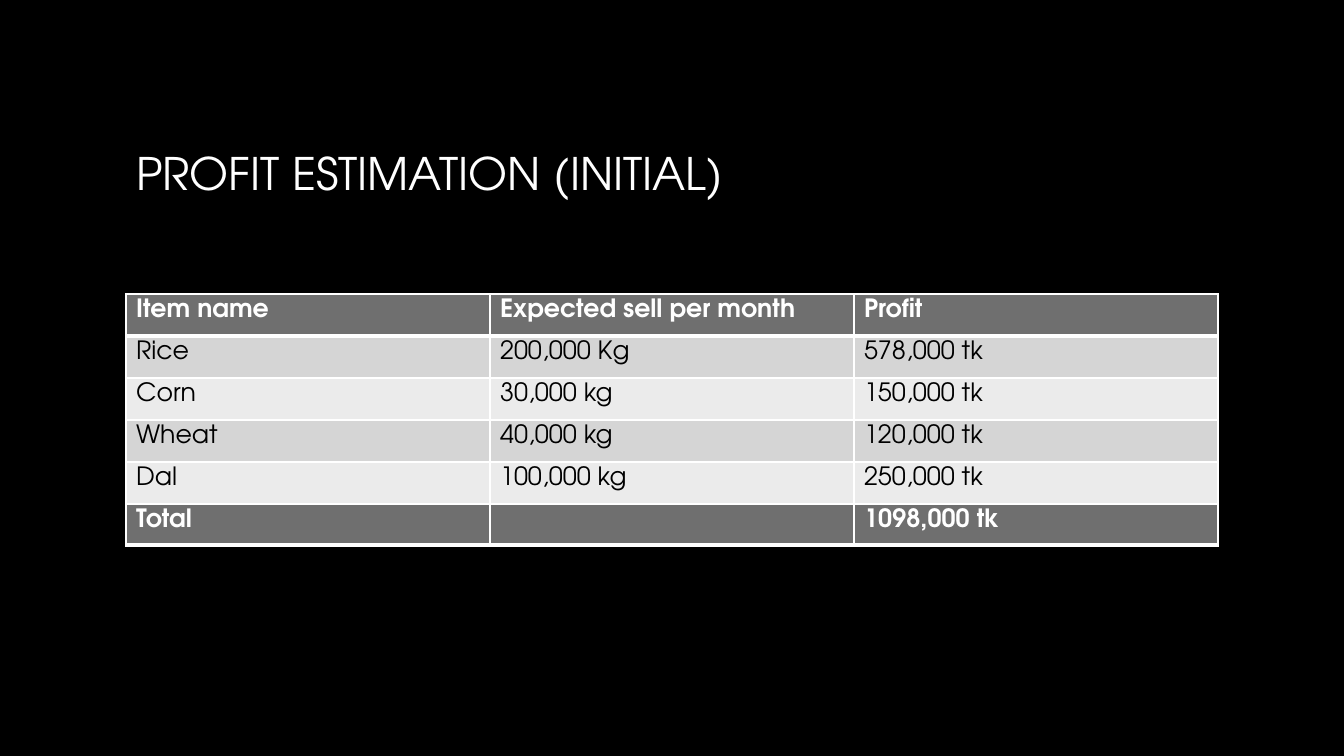
"""Build the profit estimation slide with its item table and total row."""
from lxml import etree
from pptx import Presentation
from pptx.dml.color import RGBColor
from pptx.enum import text
from pptx.oxml import ns
from pptx.util import Pt

TITLE = "PROFIT ESTIMATION (INITIAL)"
ITEMS = [
    ("Item name", "Expected sell per month", "Profit"),
    ("Rice", "200,000 Kg", "578,000 tk"),
    ("Corn", "30,000 kg", "150,000 tk"),
    ("Wheat", "40,000 kg", "120,000 tk"),
    ("Dal", "100,000 kg", "250,000 tk"),
]
TOTAL = [("Total", "", "1098,000 tk")]
FACE = "TeX Gyre Adventor"
COLORS = {"back": "000000", "light": "FFFFFF", "dark": "000000",
          "head": "6F6F6F", "odd": "D5D5D5", "even": "EBEBEB"}
LEFT, WIDTH, TOP, ROW = 90, 780, 210, 30


def color(name):
    return RGBColor.from_string(COLORS[name])


def style(para, size, name, bold=False):
    font = para.font
    font.name, font.size, font.bold = FACE, Pt(size), bold
    font.color.rgb = color(name)


def border(cell, base):
    props = cell._tc.get_or_add_tcPr()
    for spot, side in enumerate("LRTB"):
        width = base if side == "B" else 1
        line = etree.Element(ns.qn(f"a:ln{side}"), w=str(Pt(width)))
        fill = etree.SubElement(line, ns.qn("a:solidFill"))
        etree.SubElement(fill, ns.qn("a:srgbClr"), val=COLORS["light"])
        props.insert(spot, line)


def add_grid(slide, rows, top, high):
    frame = slide.shapes.add_table(len(rows), len(rows[0]), Pt(LEFT), Pt(top),
                                   Pt(WIDTH), Pt(high * len(rows)))
    for r, row in enumerate(rows):
        head = r == 0
        fill = "head" if head else "odd" if r % 2 else "even"
        for c, label in enumerate(row):
            cell = frame.table.cell(r, c)
            cell.text = label
            cell.fill.solid()
            cell.fill.fore_color.rgb = color(fill)
            style(cell.text_frame.paragraphs[0], 18,
                  "light" if head else "dark", head)
            border(cell, 3 if head else 1)


def main():
    deck = Presentation()
    deck.slide_width, deck.slide_height = Pt(960), Pt(540)
    slide = deck.slides.add_slide(deck.slide_layouts[5])
    slide.background.fill.solid()
    slide.background.fill.fore_color.rgb = color("back")

    title = slide.shapes.title
    title.left, title.top = Pt(LEFT), Pt(48)
    title.width, title.height = Pt(WIDTH), Pt(150)
    title.text = TITLE
    title.text_frame.vertical_anchor = text.MSO_ANCHOR.MIDDLE
    para = title.text_frame.paragraphs[0]
    para.alignment = text.PP_ALIGN.LEFT
    style(para, 32, "light")

    add_grid(slide, ITEMS, TOP, ROW)
    add_grid(slide, TOTAL, TOP + ROW * len(ITEMS), 29.5)
    deck.save("out.pptx")


if __name__ == "__main__":
    main()
